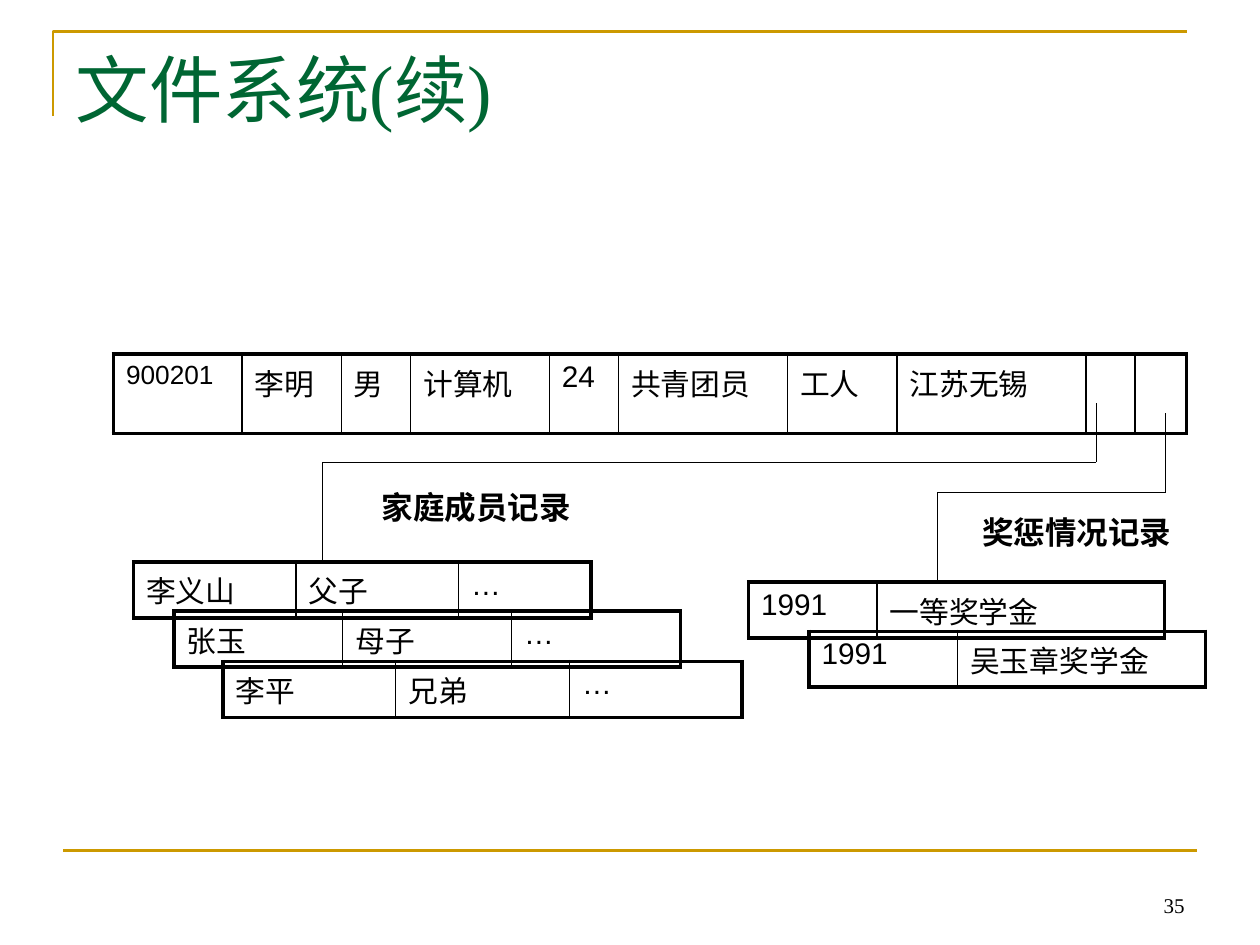
"""Build the file system slide with linked variable-length records."""
import itertools

import pptx
import pptx.dml.color
import pptx.enum.shapes
import pptx.enum.text
import pptx.oxml
import pptx.oxml.ns
import pptx.util
from pptx.util import Inches

ALIGN = pptx.enum.text.PP_ALIGN
ANCHOR = pptx.enum.text.MSO_ANCHOR
BLACK, GOLD, GREEN = "000000", "CC9900", "006633"
SERIF, SANS = "Times New Roman", "Arial"
THIN, THICK = 1, 2.25

MAIN_RECORD = ["900201", "李明", "男", "计算机", "24", "共青团员", "工人", "江苏无锡", "", ""]
MAIN_WIDTHS = [1.02, 0.79, 0.55, 1.1, 0.55, 1.34, 0.87, 1.5, 0.39, 0.41]
DETAIL_RECORDS = [
    (1.06, 4.46, [1.29, 1.29, 1.05], ["李义山", "父子", "…"]),
    (1.38, 4.85, [1.34, 1.34, 1.34], ["张玉", "母子", "…"]),
    (1.77, 5.25, [1.37, 1.38, 1.37], ["李平", "兄弟", "…"]),
    (5.94, 4.62, [1.02, 2.28], ["1991", "一等奖学金"]),
    (6.42, 5.01, [1.18, 1.97], ["1991", "吴玉章奖学金"]),
]
LINKS = [
    [(8.7, 3.2), (8.7, 3.67), (2.56, 3.67), (2.56, 4.46)],
    [(9.25, 3.28), (9.25, 3.91), (7.44, 3.91), (7.44, 4.62)],
]


def color(value):
    return pptx.dml.color.RGBColor.from_string(value)


class RecordSlide:
    def __init__(self, deck):
        self.slide = deck.slides.add_slide(deck.slide_layouts[5])
        self.shapes = self.slide.shapes

    def add_span(self, para, text, size, font=SERIF, fill=BLACK, bold=False):
        span = para.add_run()
        span.text = text
        span.font.size = pptx.util.Pt(size)
        span.font.name = font
        span.font.bold = bold
        span.font.color.rgb = color(fill)

    def title(self, text):
        box = self.shapes.title
        box.left, box.top, box.width, box.height = map(Inches, (0.5, 0.3, 9, 1.25))
        box.text_frame.vertical_anchor = ANCHOR.TOP
        para = box.text_frame.paragraphs[0]
        para.alignment = ALIGN.LEFT
        self.add_span(para, text, 42, fill=GREEN)

    def label(self, text, left, top, width, height, size=18, bold=True,
              align=ALIGN.CENTER, anchor=ANCHOR.MIDDLE, wrap=False):
        box = self.shapes.add_textbox(*map(Inches, (left, top, width, height)))
        box.text_frame.word_wrap = wrap
        box.text_frame.vertical_anchor = anchor
        para = box.text_frame.paragraphs[0]
        para.alignment = align
        self.add_span(para, text, size, bold=bold)

    def line(self, start, end, stroke=BLACK, weight=0.75):
        line = self.shapes.add_connector(
            pptx.enum.shapes.MSO_CONNECTOR.STRAIGHT, *map(Inches, start + end))
        line.line.color.rgb = color(stroke)
        line.line.width = pptx.util.Pt(weight)
        effects = pptx.oxml.parse_xml(f"<a:effectLst {pptx.oxml.ns.nsdecls('a')}/>")
        line._element.spPr.append(effects)

    def link(self, points):
        for start, end in itertools.pairwise(points):
            self.line(start, end)

    def corner(self, points):
        start, *others = [tuple(map(Inches, point)) for point in points]
        builder = self.shapes.build_freeform(*start)
        builder.add_line_segments(others, close=False)
        corner = builder.convert_to_shape()
        corner.shadow.inherit = False
        corner.fill.background()
        corner.line.color.rgb = color(GOLD)
        corner.line.width = pptx.util.Pt(1.5)

    def borders(self, cell, weights):
        properties = cell._tc.get_or_add_tcPr()
        for side, weight in zip("LRTB", weights):
            properties.append(pptx.oxml.parse_xml(
                f'<a:ln{side} {pptx.oxml.ns.nsdecls("a")} w="{pptx.util.Pt(weight)}">'
                f'<a:solidFill><a:srgbClr val="{BLACK}"/></a:solidFill></a:ln{side}>'))

    def record(self, left, top, widths, values, height=0.38, first_size=17):
        frame = self.shapes.add_table(
            1, len(values), *map(Inches, (left, top, sum(widths), height)))
        table = frame.table
        table.first_row = table.horz_banding = False
        last = len(values) - 1
        for index, (width, value) in enumerate(zip(widths, values)):
            table.columns[index].width = Inches(width)
            cell = table.cell(0, index)
            left_weight = THICK if index == 0 else THIN
            right_weight = THICK if index == last else THIN
            self.borders(cell, (left_weight, right_weight, THICK, THICK))
            cell.fill.background()
            if value:
                size = first_size if index == 0 else 17
                self.add_span(cell.text_frame.paragraphs[0], value, size, SANS)


def main():
    deck = pptx.Presentation()
    deck.slide_width, deck.slide_height = Inches(10), Inches(7.5)
    page = RecordSlide(deck)
    page.corner([(0.42, 0.92), (0.42, 0.25), (9.42, 0.25)])
    page.line((0.5, 6.75), (9.5, 6.75), GOLD, 1.5)
    page.title("文件系统(续)")
    page.record(0.9, 2.81, MAIN_WIDTHS, MAIN_RECORD, height=0.63, first_size=15)
    for record in DETAIL_RECORDS:
        page.record(*record)
    for points in LINKS:
        page.link(points)
    page.label("家庭成员记录", 2.72, 3.83, 2.12, 0.39)
    page.label("奖惩情况记录", 7.52, 4.06, 2.05, 0.32)
    page.label("35", 7.17, 6.83, 2.33, 0.5, size=12, bold=False,
               align=ALIGN.RIGHT, anchor=ANCHOR.BOTTOM, wrap=True)
    deck.save("out.pptx")


if __name__ == "__main__":
    main()
